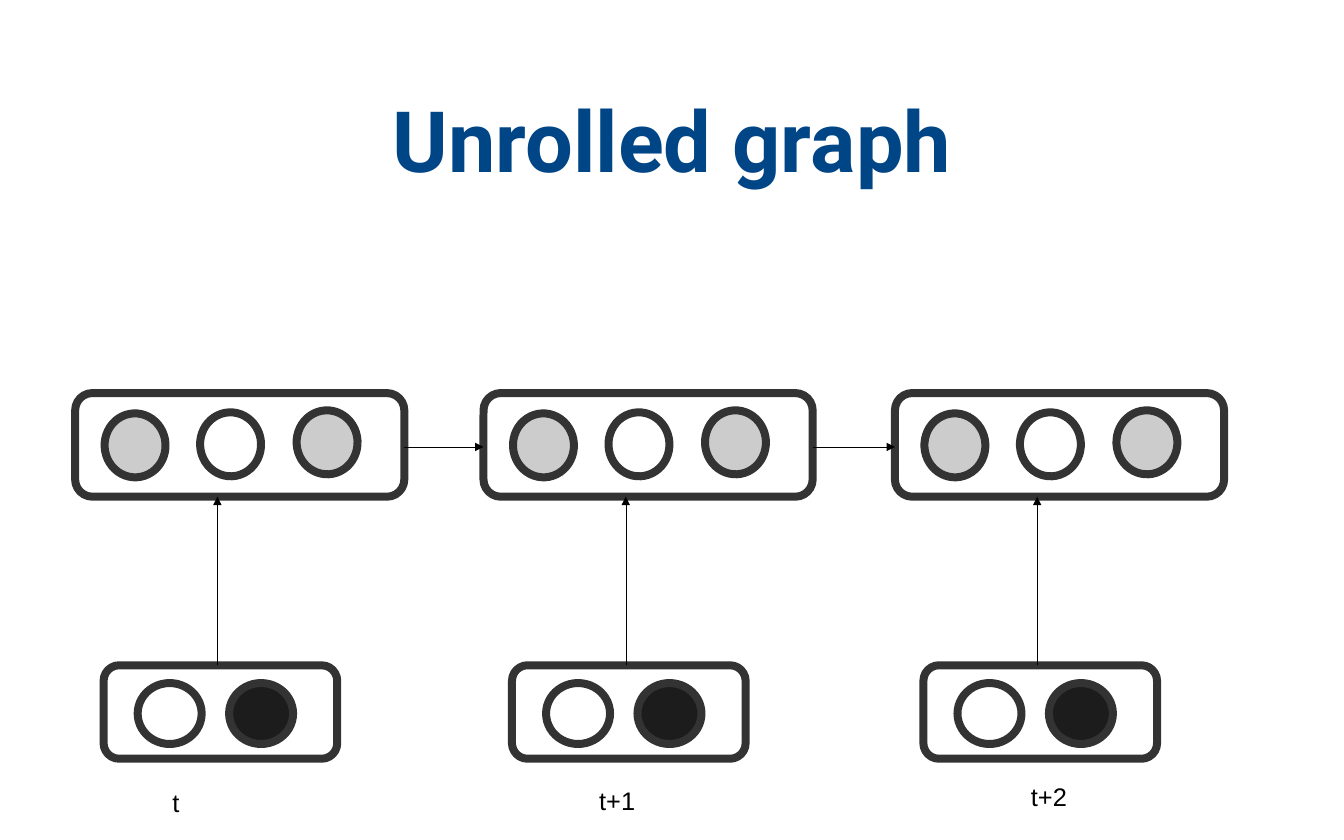
from pptx import Presentation
from pptx import util as u
from pptx.dml.color import RGBColor
from pptx.enum import shapes, text
from pptx.oxml.ns import qn
from lxml import etree

COLORS = {"title": "004586", "edge": "333333", "ink": "000000",
          "white": "FFFFFF", "gray": "CCCCCC", "dark": "1C1C1C"}
KIND = shapes.MSO_SHAPE

# Left edge of each time step, with its label: text, left, top
STEPS = [(0.74, ("t", 1.6, 7.7)),
         (4.76, ("t+1", 5.8, 7.68)),
         (8.81, ("t+2", 10.05, 7.64))]
# Cells: offset from the step's left edge, top, turn, fill
CELLS = [(1.53, 6.71, 90, "dark"), (0.63, 6.71, 90, "white"),
         (1.23, 4.06, 357, "white"), (0.29, 4.07, 357, "gray"),
         (2.18, 4.04, 357, "gray")]
STATE_TOP, STATE_WIDTH, STATE_HEIGHT = 3.87, 3.24, 1.02
INPUT_TOP = 6.55


def color(name):
    return RGBColor.from_string(COLORS[name])


def add_node(slide, kind, x, y, w, h, fill=None, turn=0):
    node = slide.shapes.add_shape(kind, *map(u.Inches, (x, y, w, h)))
    node.shadow.inherit = False
    node.rotation = turn
    if fill:
        node.fill.solid()
        node.fill.fore_color.rgb = color(fill)
    else:
        node.fill.background()
    node.line.color.rgb = color("edge")
    node.line.width = u.Pt(5.67)


def add_arrow(slide, x1, y1, x2, y2):
    arrow = slide.shapes.add_connector(
        shapes.MSO_CONNECTOR.STRAIGHT, *map(u.Inches, (x1, y1, x2, y2)))
    arrow.line.color.rgb = color("ink")
    line = arrow.line._get_or_add_ln()
    line.set("w", "0")  # hairline
    etree.SubElement(line, qn("a:tailEnd"), type="triangle")
    etree.SubElement(arrow._element.spPr, qn("a:effectLst"))


def add_label(slide, words, x, y, w=1.2, h=0.38,
              size=18, font="Arial", tint="ink"):
    box = slide.shapes.add_textbox(*map(u.Inches, (x, y, w, h)))
    frame = box.text_frame
    frame.text = words
    frame.word_wrap = True
    run = frame.paragraphs[0].runs[0]
    run.font.size = u.Pt(size)
    run.font.name = font
    run.font.color.rgb = color(tint)
    return frame


def add_title(slide, words):
    frame = add_label(slide, words, 0.66, 0.33, 11.91, 2.07,
                      60, "Roboto", "title")
    frame.margin_left = frame.margin_right = 0
    frame.margin_top = frame.margin_bottom = 0
    frame.vertical_anchor = text.MSO_ANCHOR.MIDDLE
    frame.paragraphs[0].alignment = text.PP_ALIGN.CENTER
    frame.paragraphs[0].runs[0].font.bold = True


def add_step(slide, left, label):
    # Input and state boxes with their cells
    add_node(slide, KIND.ROUNDED_RECTANGLE, left + 0.28, INPUT_TOP, 2.3, 0.92)
    for shift, top, turn, fill in CELLS:
        add_node(slide, KIND.OVAL, left + shift, top, 0.6, 0.63, fill, turn)
    add_node(slide, KIND.ROUNDED_RECTANGLE, left, STATE_TOP,
             STATE_WIDTH, STATE_HEIGHT)
    # Input feeds the state
    mid = left + 1.4
    add_arrow(slide, mid, INPUT_TOP, mid, STATE_TOP + STATE_HEIGHT)
    add_label(slide, *label)


def main():
    deck = Presentation()
    deck.slide_width, deck.slide_height = u.Inches(13.23), u.Inches(8.27)
    slide = deck.slides.add_slide(deck.slide_layouts[6])
    add_title(slide, "Unrolled graph")
    for left, label in STEPS:
        add_step(slide, left, label)
    # Each state feeds the next one
    for (left, _), (after, _) in zip(STEPS, STEPS[1:]):
        add_arrow(slide, left + STATE_WIDTH, 4.4, after, 4.4)
    deck.save("out.pptx")


if __name__ == "__main__":
    main()
